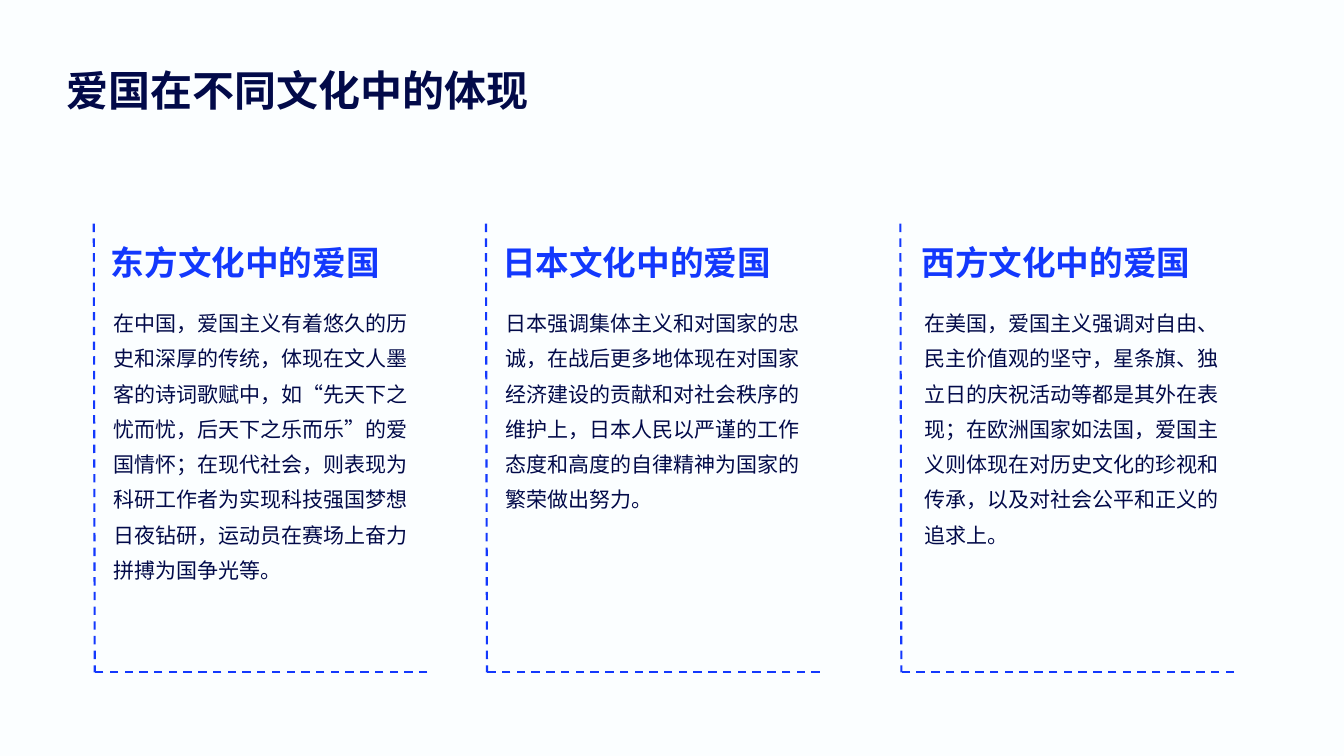
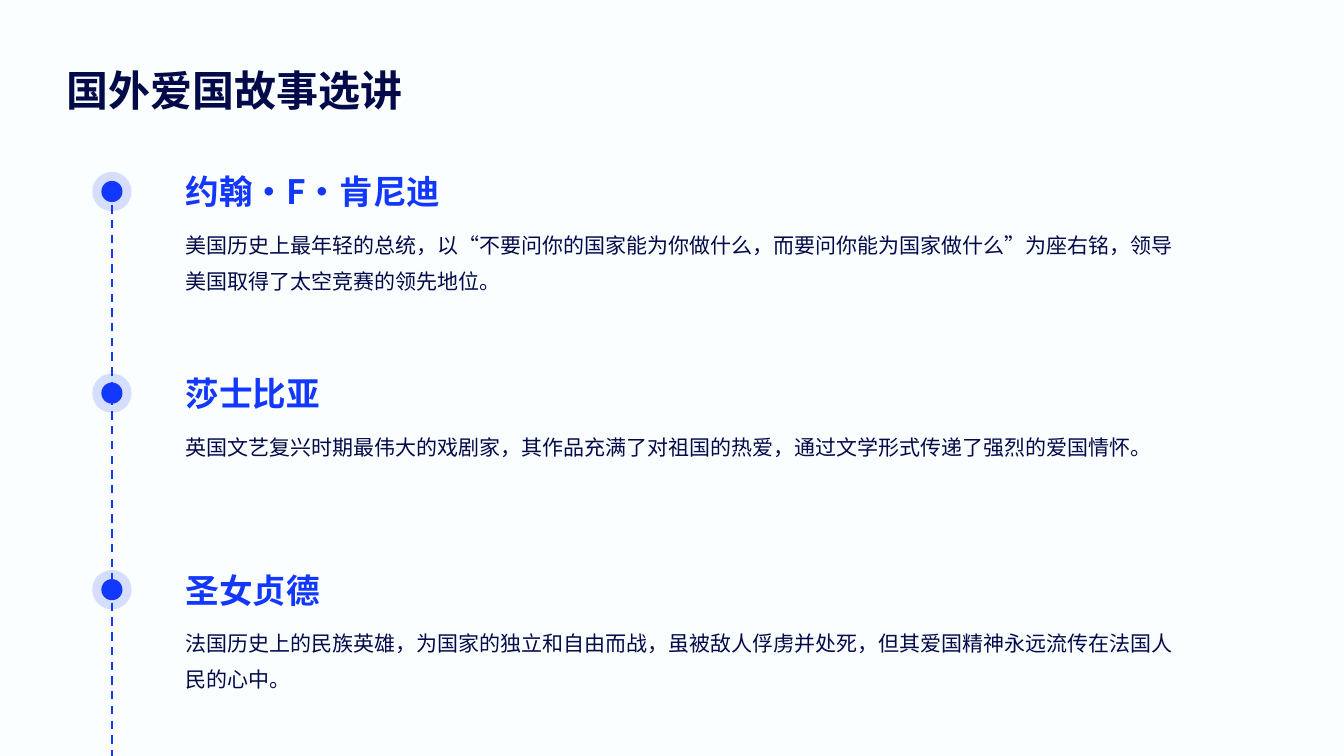
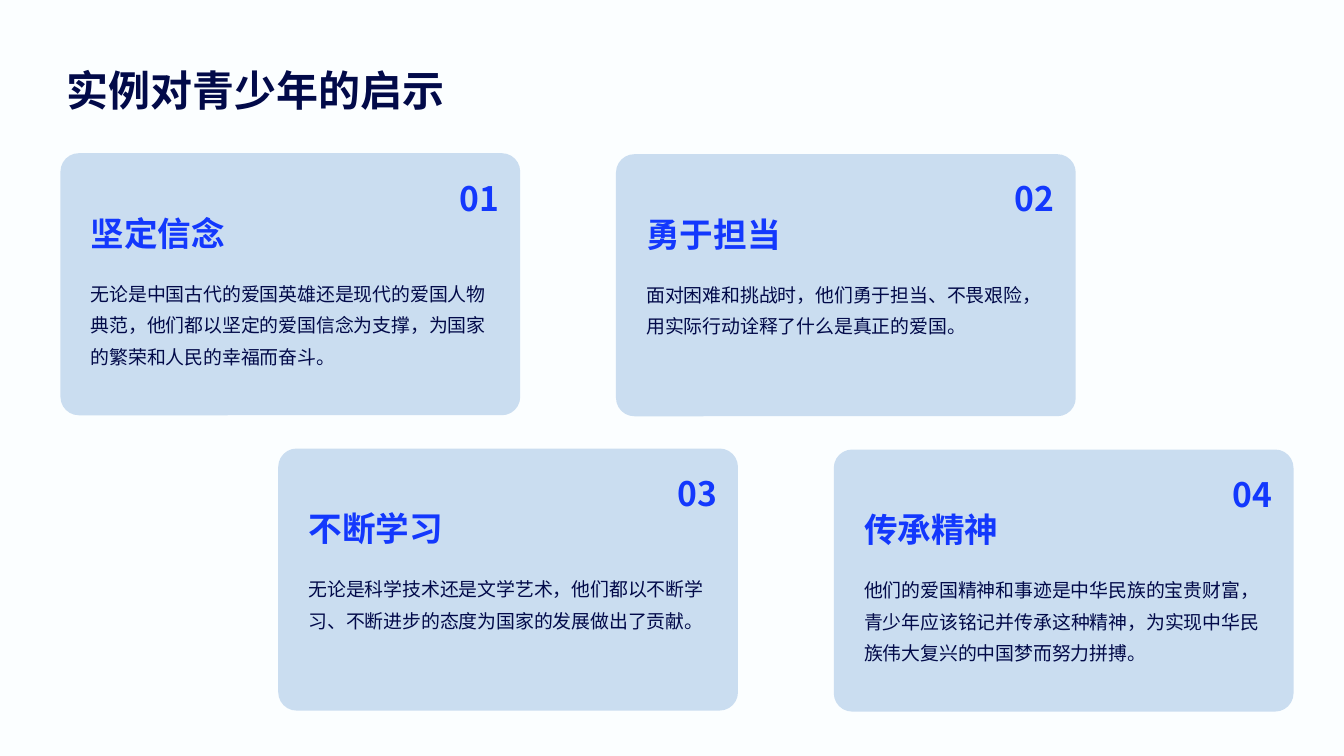
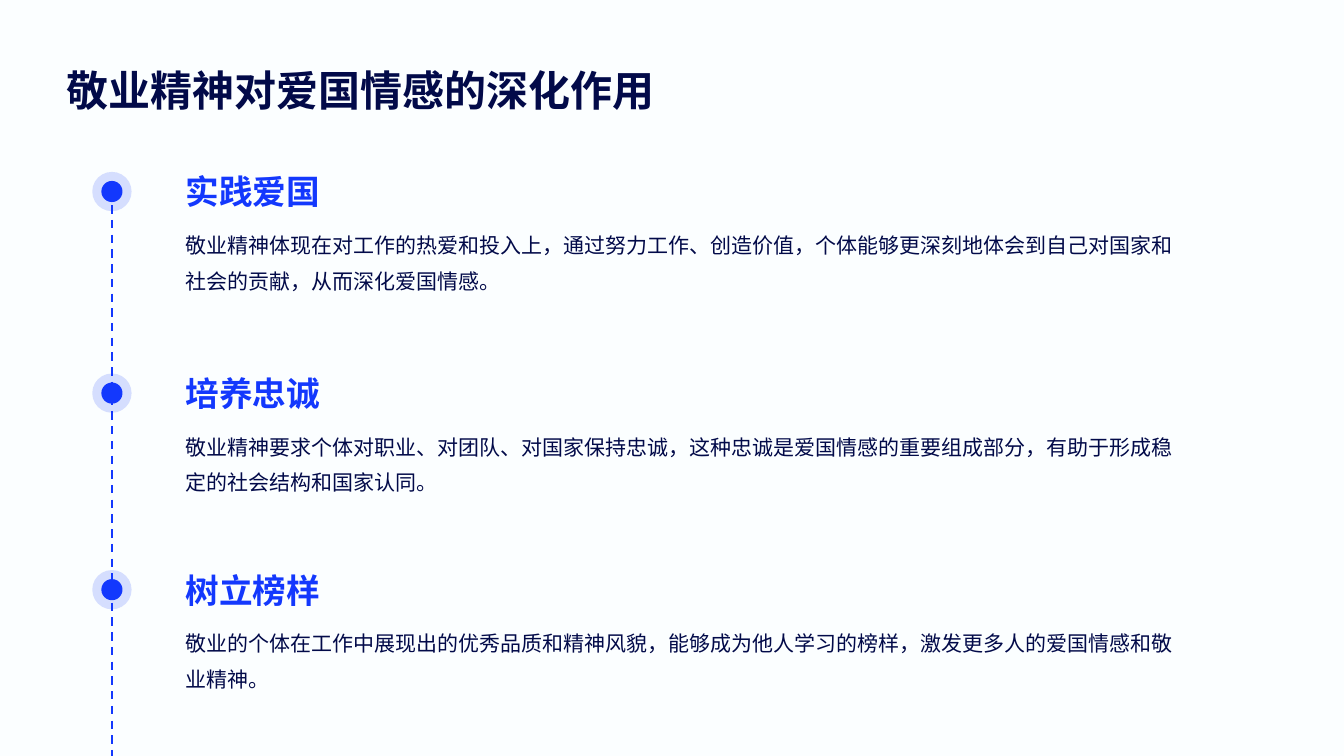
from lxml.etree import SubElement
from pptx import Presentation
from pptx.dml.color import RGBColor
from pptx.enum.dml import MSO_LINE
from pptx.enum.lang import MSO_LANGUAGE_ID
from pptx.enum.shapes import MSO_CONNECTOR, MSO_SHAPE
from pptx.enum.text import MSO_ANCHOR, PP_ALIGN
from pptx.oxml.ns import qn
from pptx.util import Inches, Pt

FONT = "Noto Sans CJK SC"
COLORS = {"back": "FBFEFF", "ink": "020A49", "blue": "1338FD", "card": "CADDF0"}
FLAT = (0, 0, 0, 0)
INSET = (0.12, 0.06, 0.12, 0.06)


class Deck:
    """Holds the shared style and the current slide."""

    def __init__(self):
        self.prs = Presentation()
        self.prs.slide_width = Inches(13.33)
        self.prs.slide_height = Inches(7.5)
        self.paint(self.prs.slide_master.background.fill, "back")

    def paint(self, fill, color):
        fill.solid()
        fill.fore_color.rgb = RGBColor.from_string(COLORS[color])

    def page(self, title):
        self.slide = self.prs.slides.add_slide(self.prs.slide_layouts[6])
        self.text(title, (0.52, 0.29, 12.29, 1), 30, color="ink", bold=True, space=1.4,
                  anchor=MSO_ANCHOR.MIDDLE, inset=(0.14, 0.14, 0.06, 0.14))

    def text(self, words, box, size, color, bold, space, anchor, inset=FLAT, align=PP_ALIGN.LEFT):
        frame = self.slide.shapes.add_textbox(*map(Inches, box)).text_frame
        frame.word_wrap = True
        frame.vertical_anchor = anchor
        (frame.margin_left, frame.margin_top,
         frame.margin_right, frame.margin_bottom) = map(Inches, inset)
        para = frame.paragraphs[0]
        para.alignment = align
        para.line_spacing = space
        run = para.add_run()
        run.text = words
        font = run.font
        font.size = Pt(size)
        font.bold = bold
        font.name = FONT
        font.language_id = MSO_LANGUAGE_ID.SIMPLIFIED_CHINESE
        self.paint(font.fill, color)
        SubElement(run._r.get_or_add_rPr(), qn("a:ea")).set("typeface", FONT)

    def head(self, words, box, anchor=MSO_ANCHOR.BOTTOM, **more):
        self.text(words, box, 24, "blue", True, 1.2, anchor, **more)

    def body(self, words, box, size=15, **more):
        self.text(words, box, size, "ink", False, 1.4, MSO_ANCHOR.TOP, **more)

    def shape(self, kind, box, color, alpha=None):
        shape = self.slide.shapes.add_shape(kind, *map(Inches, box))
        shape.shadow.inherit = False
        shape.line.fill.background()
        self.paint(shape.fill, color)
        if alpha:
            tone = shape._element.spPr.find(".//" + qn("a:srgbClr"))
            SubElement(tone, qn("a:alpha")).set("val", str(alpha * 1000))
        return shape

    def dash(self, *ends):
        line = self.slide.shapes.add_connector(MSO_CONNECTOR.STRAIGHT, *map(Inches, ends))
        self.paint(line.line.fill, "blue")
        line.line.width = Pt(1.5)
        line.line.dash_style = MSO_LINE.DASH
        SubElement(line._element.spPr, qn("a:effectLst"))

    def column(self, edge, left, head, body):
        self.dash(edge, 2.22, edge + 0.01, 6.67)
        self.dash(edge + 3.31, 6.67, edge, 6.67)
        self.head(head, (left, 2.23, 3.31, 0.63), inset=INSET)
        self.body(body, (left + 0.03, 2.92, 3.24, 3.42), inset=INSET)

    def dot(self, x, y, size, alpha=None):
        self.shape(MSO_SHAPE.OVAL, (x - size / 2, y - size / 2, size, size), "blue", alpha)

    def story(self, title, items):
        self.page(title)
        for top, (head, body) in zip((1.49, 3.49, 5.44), items):
            self.head(head, (1.84, top, 9.78, 0.61))
            self.body(body, (1.84, top + 0.72, 9.81, 0.84))
            self.dot(1.11, top + 0.41, 0.21)
            self.dot(1.11, top + 0.41, 0.39, 16)
        self.dash(1.11, 1.89, 1.11, 7.5)

    def card(self, num, x, y, head, body):
        card = self.shape(MSO_SHAPE.ROUNDED_RECTANGLE, (x, y, 4.56, 2.6), "card")
        card.adjustments[0] = 0.07
        self.head(head, (x + 0.3, y + 0.48, 3.45, 0.54), MSO_ANCHOR.MIDDLE)
        self.body(body, (x + 0.3, y + 1.19, 3.96, 1.07), 13.5)
        self.head(f"{num:02}", (x + 3.42, y + 0.13, 0.93, 0.54), MSO_ANCHOR.MIDDLE,
                  align=PP_ALIGN.RIGHT)


def main():
    deck = Deck()

    deck.page("爱国在不同文化中的体现")
    for item in (
        (0.93, 0.98, "东方文化中的爱国",
         "在中国，爱国主义有着悠久的历史和深厚的传统，体现在文人墨客的诗词歌赋中，"
         "如“先天下之忧而忧，后天下之乐而乐”的爱国情怀；在现代社会，则表现为科研工作者"
         "为实现科技强国梦想日夜钻研，运动员在赛场上奋力拼搏为国争光等。"),
        (4.82, 4.86, "日本文化中的爱国",
         "日本强调集体主义和对国家的忠诚，在战后更多地体现在对国家经济建设的贡献和对社会秩序的维护上，"
         "日本人民以严谨的工作态度和高度的自律精神为国家的繁荣做出努力。"),
        (8.93, 9.02, "西方文化中的爱国",
         "在美国，爱国主义强调对自由、民主价值观的坚守，星条旗、独立日的庆祝活动等都是其外在表现；"
         "在欧洲国家如法国，爱国主义则体现在对历史文化的珍视和传承，以及对社会公平和正义的追求上。"),
    ):
        deck.column(*item)

    deck.story("国外爱国故事选讲", (
        ("约翰·F·肯尼迪",
         "美国历史上最年轻的总统，以“不要问你的国家能为你做什么，而要问你能为国家做什么”为座右铭，"
         "领导美国取得了太空竞赛的领先地位。"),
        ("莎士比亚",
         "英国文艺复兴时期最伟大的戏剧家，其作品充满了对祖国的热爱，通过文学形式传递了强烈的爱国情怀。"),
        ("圣女贞德",
         "法国历史上的民族英雄，为国家的独立和自由而战，虽被敌人俘虏并处死，"
         "但其爱国精神永远流传在法国人民的心中。"),
    ))

    deck.page("实例对青少年的启示")
    cards = (
        ("坚定信念",
         "无论是中国古代的爱国英雄还是现代的爱国人物典范，他们都以坚定的爱国信念为支撑，"
         "为国家的繁荣和人民的幸福而奋斗。"),
        ("勇于担当",
         "面对困难和挑战时，他们勇于担当、不畏艰险，用实际行动诠释了什么是真正的爱国。"),
        ("不断学习",
         "无论是科学技术还是文学艺术，他们都以不断学习、不断进步的态度为国家的发展做出了贡献。"),
        ("传承精神",
         "他们的爱国精神和事迹是中华民族的宝贵财富，青少年应该铭记并传承这种精神，"
         "为实现中华民族伟大复兴的中国梦而努力拼搏。"),
    )
    for num, (head, body) in enumerate(cards):
        row, col = divmod(num, 2)
        deck.card(num + 1, 0.6 + 5.51 * col + 2.16 * row, 1.52 + 0.01 * col + 2.93 * row,
                  head, body)

    deck.story("敬业精神对爱国情感的深化作用", (
        ("实践爱国",
         "敬业精神体现在对工作的热爱和投入上，通过努力工作、创造价值，"
         "个体能够更深刻地体会到自己对国家和社会的贡献，从而深化爱国情感。"),
        ("培养忠诚",
         "敬业精神要求个体对职业、对团队、对国家保持忠诚，这种忠诚是爱国情感的重要组成部分，"
         "有助于形成稳定的社会结构和国家认同。"),
        ("树立榜样",
         "敬业的个体在工作中展现出的优秀品质和精神风貌，能够成为他人学习的榜样，"
         "激发更多人的爱国情感和敬业精神。"),
    ))

    deck.prs.save("out.pptx")


if __name__ == "__main__":
    main()
